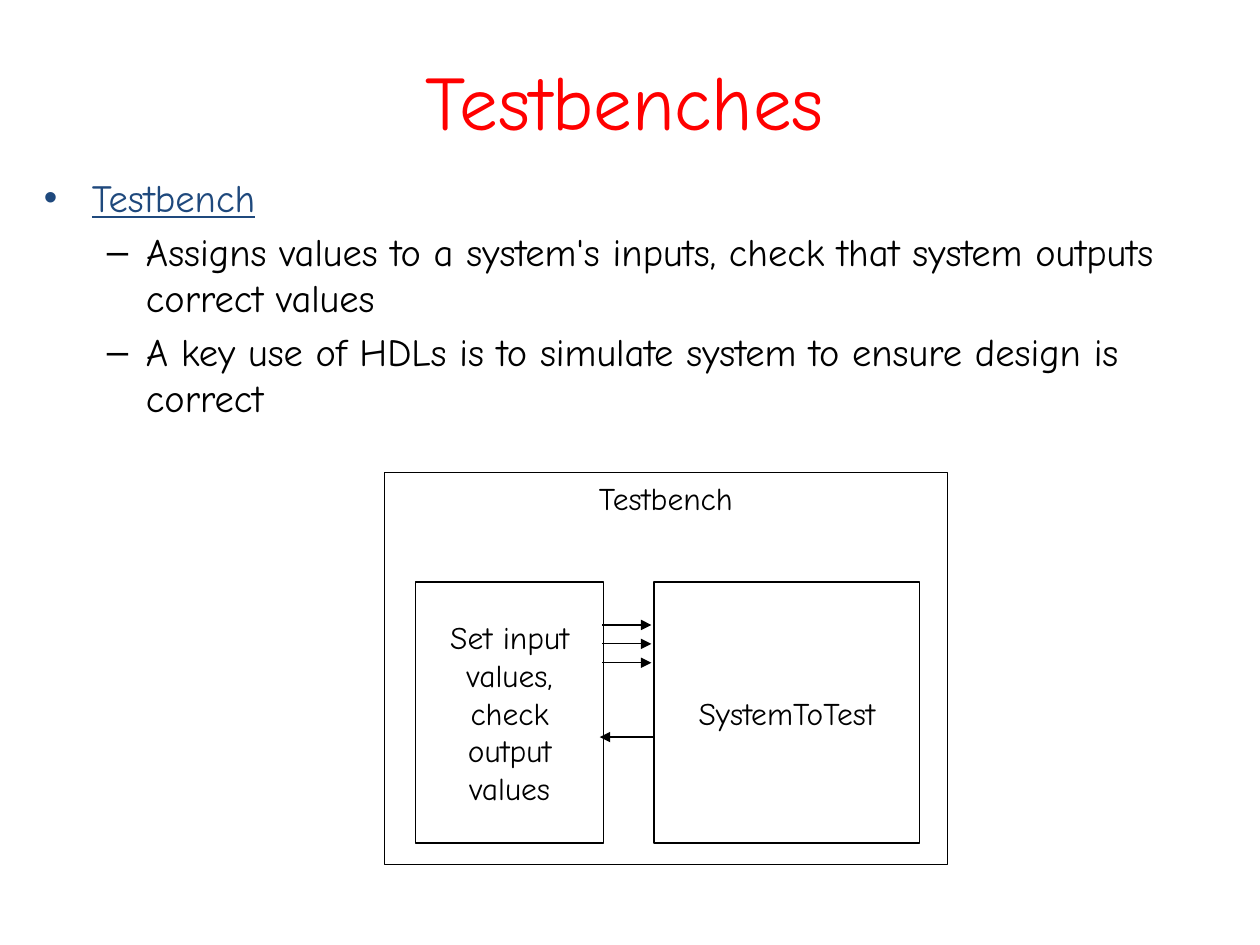
from pptx import Presentation
from pptx.dml.color import RGBColor as Rgb
from pptx.enum.shapes import MSO_CONNECTOR as Conn, MSO_SHAPE as Kind
from pptx.enum.text import MSO_ANCHOR as Anchor, PP_ALIGN as Align
from pptx.oxml.ns import qn
from pptx.util import Inches, Pt
from lxml.etree import SubElement as Sub

FONT = "Comic Neue"
BLACK = "000000"


def paint(form, color):
    form.rgb = Rgb.from_string(color)


def write(para, text, size=18, color=BLACK, align=Align.CENTER, under=None):
    para.alignment = align
    run = para.add_run()
    run.text = text
    font = run.font
    font.name, font.size, font.underline = FONT, Pt(size), under
    paint(font.color, color)


def frame(shape, anchor, wrap=True):
    text = shape.text_frame
    text.word_wrap = wrap
    text.vertical_anchor = anchor
    return text


def area(slide, top, height, anchor):
    box = slide.shapes.add_textbox(
        Inches(0.25), Inches(top), Inches(9.42), Inches(height))
    return frame(box, anchor)


def bullet(para, mark, left, hang):
    para.space_before = Pt(4.4)
    props = para._p.get_or_add_pPr()
    props.set("marL", str(Inches(left)))
    props.set("indent", str(-Inches(hang)))
    Sub(props, qn("a:buFont"), typeface="Arial")
    Sub(props, qn("a:buChar"), char=mark)


def items(slide, rows):
    text = area(slide, 1.33, 1.94, Anchor.TOP)
    for num, (label, level, color) in enumerate(rows):
        para = text.add_paragraph() if num else text.paragraphs[0]
        para.level = level
        write(para, label, size=22, color=color, align=Align.LEFT,
              under=level == 0)
        mark, left, hang = (("•", 0.38, 0.38), ("–", 0.81, 0.31))[level]
        bullet(para, mark, left, hang)


def block(slide, label, place, anchor=Anchor.MIDDLE, wrap=True):
    box = slide.shapes.add_shape(Kind.RECTANGLE, *map(Inches, place))
    box.shadow.inherit = False
    box.fill.background()
    paint(box.line.color, BLACK)
    box.line.width = Pt(0.75)
    write(frame(box, anchor, wrap).paragraphs[0], label)


def arrow(slide, start, end, y):
    link = slide.shapes.add_connector(
        Conn.STRAIGHT, Inches(start), Inches(y), Inches(end), Inches(y))
    paint(link.line.color, BLACK)
    link.line.width = Pt(0.75)
    Sub(link.line._get_or_add_ln(), qn("a:tailEnd"), type="triangle")
    Sub(link._element.spPr, qn("a:effectLst"))


def main():
    deck = Presentation()
    deck.slide_width, deck.slide_height = Inches(10), Inches(7.5)
    slide = deck.slides.add_slide(deck.slide_layouts[6])

    title = area(slide, 0.33, 0.92, Anchor.MIDDLE)
    write(title.paragraphs[0], "Testbenches", size=44, color="FF0000")
    items(slide, (
        ("Testbench", 0, "1F497D"),
        ("Assigns values to a system's inputs, check that system outputs "
         "correct values", 1, BLACK),
        ("A key use of HDLs is to simulate system to ensure design is "
         "correct", 1, BLACK),
    ))

    block(slide, "SystemToTest", (5.19, 4.62, 2.11, 2.07), wrap=False)
    block(slide, "Testbench", (3.05, 3.75, 4.47, 3.11), Anchor.TOP, False)
    block(slide, "Set input values, check output values",
          (3.3, 4.62, 1.49, 2.07))
    for row in range(3):
        arrow(slide, 4.78, 5.17, 4.96 + 0.15 * row)
    arrow(slide, 5.19, 4.76, 5.85)
    deck.save("out.pptx")


if __name__ == "__main__":
    main()
